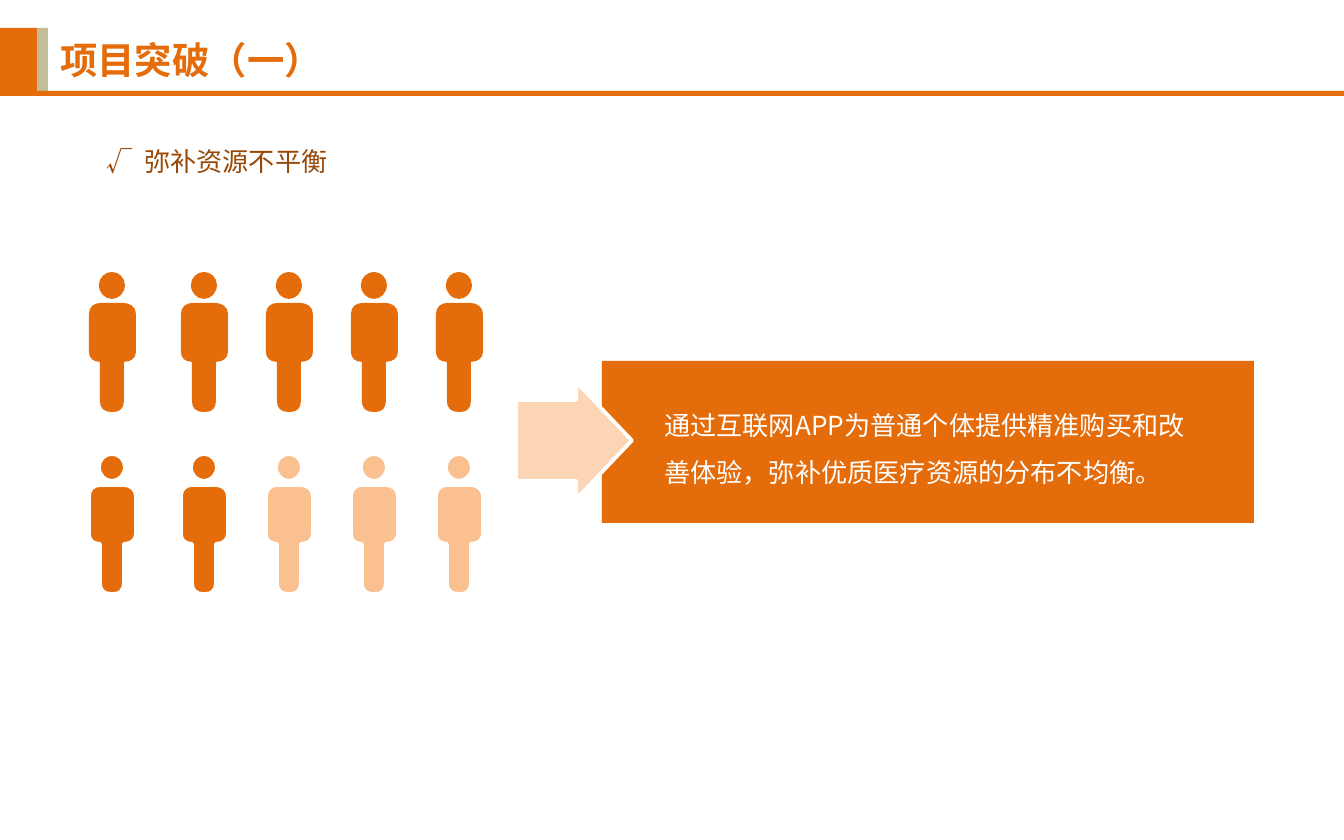
from dataclasses import dataclass
from typing import Optional

from lxml.etree import SubElement
from pptx import Presentation
from pptx.dml.color import RGBColor
from pptx.enum.shapes import MSO_SHAPE
from pptx.enum.text import MSO_AUTO_SIZE
from pptx.oxml.ns import qn
from pptx.util import Emu, Pt

EMU_PER_PX = 9144000 / 1344
FONT = "Noto Sans CJK SC"
ORANGE, PALE_ORANGE, PEACH = "E46C0A", "FAC090", "FCD5B5"
TAN, BROWN, WHITE = "C4BD97", "984807", "FFFFFF"

Point = tuple[int, int]
Curve = tuple[Point, Point, Point]


@dataclass(frozen=True)
class Block:
    left: int
    top: int
    width: int
    height: int
    fill: str
    kind: MSO_SHAPE = MSO_SHAPE.RECTANGLE
    line: Optional[str] = None
    adjustments: tuple[float, ...] = ()


@dataclass(frozen=True)
class Label:
    left: int
    top: int
    width: int
    height: int
    text: str
    color: str
    size: int = 14
    bold: bool = False
    wrap: bool = True
    spacing: Optional[float] = None
    tab: int = 0


@dataclass(frozen=True)
class Contour:
    start: Point
    curves: tuple[Curve, ...]


@dataclass(frozen=True)
class PeopleRow:
    top: int
    fills: tuple[str, ...]
    line: Optional[str] = None


def straight(x: int, y: int) -> Curve:
    """Describe a straight side as a curve ending at a point."""
    return ((x, y),) * 3


HEAD = Contour((23, 27), (
    ((30, 27), (36, 21), (36, 13)),
    ((36, 6), (30, 0), (23, 0)),
    ((16, 0), (10, 6), (10, 13)),
    ((10, 21), (16, 27), (23, 27)),
))
BODY = Contour((34, 31), (
    straight(12, 31),
    ((5, 31), (0, 35), (0, 42)),
    straight(0, 80),
    ((0, 86), (4, 90), (11, 90)),
    straight(11, 129),
    ((11, 136), (15, 140), (22, 140)),
    straight(25, 140),
    ((31, 140), (35, 136), (35, 129)),
    straight(35, 90),
    ((42, 90), (47, 86), (47, 80)),
    straight(47, 42),
    ((47, 35), (41, 31), (34, 31)),
))
PERSON_LEFTS = (89, *(181 + 85 * index for index in range(4)))
PEOPLE_ROWS = (
    PeopleRow(272, (ORANGE,) * 5),
    PeopleRow(454, (ORANGE,) * 2 + (PALE_ORANGE,) * 3, WHITE),
)
HEADER_BLOCKS = (
    Block(37, 28, 11, 63, TAN),
    Block(0, 28, 37, 63, ORANGE),
    Block(0, 91, 1344, 5, ORANGE),
)
TITLE = Label(47, 31, 292, 59, "项目突破（一）", ORANGE, size=20, bold=True, wrap=False)
PANEL = Block(602, 361, 652, 162, ORANGE)
PANEL_TEXT = Label(
    651, 387, 571, 109,
    "通过互联网APP为普通个体提供精准购买和改善体验，弥补优质医疗资源的分布不均衡。",
    WHITE, spacing=1.5,
)
ARROW = Block(516, 382, 116, 117, PEACH, MSO_SHAPE.RIGHT_ARROW, WHITE, (0.69, 0.48))
SUBTITLE = Label(93, 139, 337, 46, "√\t弥补资源不平衡", BROWN, tab=38)


def px(value: float) -> Emu:
    """Turn pixels into EMU."""
    return Emu(round(value * EMU_PER_PX))


def color(value: str) -> RGBColor:
    """Turn a hex string into a colour."""
    return RGBColor.from_string(value)


def paint(shape, fill: str, line: Optional[str]) -> None:
    """Apply a flat fill and an optional outline."""
    shape.shadow.inherit = False
    shape.fill.solid()
    shape.fill.fore_color.rgb = color(fill)
    if line:
        shape.line.color.rgb = color(line)
        shape.line.width = Pt(2)
    else:
        shape.line.fill.background()


def draw_block(slide, block: Block) -> None:
    """Draw one preset shape."""
    shape = slide.shapes.add_shape(
        block.kind, px(block.left), px(block.top), px(block.width), px(block.height)
    )
    for index, value in enumerate(block.adjustments):
        shape.adjustments[index] = value
    paint(shape, block.fill, block.line)


def draw_label(slide, label: Label) -> None:
    """Draw one text box."""
    shape = slide.shapes.add_textbox(
        px(label.left), px(label.top), px(label.width), px(label.height)
    )
    shape.text_frame.word_wrap = label.wrap
    shape.text_frame.auto_size = MSO_AUTO_SIZE.SHAPE_TO_FIT_TEXT
    paragraph = shape.text_frame.paragraphs[0]
    paragraph.line_spacing = label.spacing
    if label.tab:
        tabs = SubElement(paragraph._p.get_or_add_pPr(), qn("a:tabLst"))
        SubElement(tabs, qn("a:tab"), pos=str(px(label.tab)), algn="l")
    run = paragraph.add_run()
    run.text = label.text
    formats = {"name": FONT, "size": Pt(label.size), "bold": label.bold}
    for name, value in formats.items():
        setattr(run.font, name, value)
    run.font.color.rgb = color(label.color)
    SubElement(run._r.get_or_add_rPr(), qn("a:ea"), typeface=FONT)


def draw_person(slide, left: int, top: int, fill: str, line: Optional[str]) -> None:
    """Draw a head and body as one curved freeform."""
    builder = slide.shapes.build_freeform(*map(px, HEAD.start), scale=1.0)
    for contour in (HEAD, BODY):
        if contour is not HEAD:
            builder.move_to(*map(px, contour.start))
        ends = [tuple(map(px, curve[-1])) for curve in contour.curves]
        builder.add_line_segments(ends, close=True)
    shape = builder.convert_to_shape(px(left), px(top))
    sides = [side for side in shape._element.iter(qn("a:lnTo"))]
    for side, curve in zip(sides, HEAD.curves + BODY.curves):
        bend = side.makeelement(qn("a:cubicBezTo"))
        for x, y in curve:
            SubElement(bend, qn("a:pt"), x=str(px(x)), y=str(px(y)))
        side.getparent().replace(side, bend)
    paint(shape, fill, line)


def main() -> None:
    """Build and save the slide."""
    presentation = Presentation()
    presentation.slide_width, presentation.slide_height = px(1344), px(840)
    slide = presentation.slides.add_slide(presentation.slide_layouts[6])
    draw_label(slide, TITLE)
    for block in HEADER_BLOCKS:
        draw_block(slide, block)
    for row in PEOPLE_ROWS:
        for left, fill in zip(PERSON_LEFTS, row.fills):
            draw_person(slide, left, row.top, fill, row.line)
    draw_block(slide, PANEL)
    draw_label(slide, PANEL_TEXT)
    draw_block(slide, ARROW)
    draw_label(slide, SUBTITLE)
    presentation.save("out.pptx")


if __name__ == "__main__":
    main()
